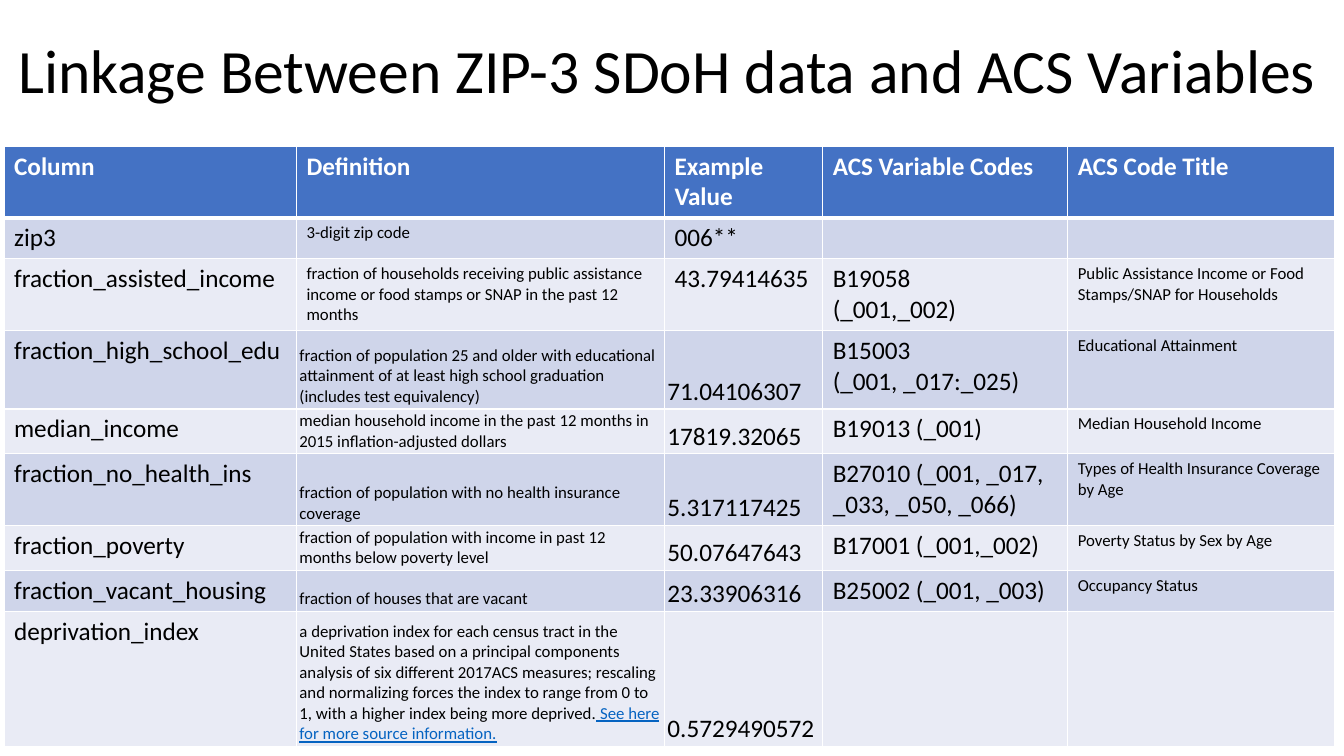
from dataclasses import dataclass

from lxml import etree
from pptx import Presentation
from pptx.dml.color import RGBColor
from pptx.enum.text import MSO_ANCHOR, PP_ALIGN
from pptx.oxml.ns import qn
from pptx.slide import Slide
from pptx.table import Table
from pptx.text.text import TextFrame
from pptx.util import Inches, Pt

TOP = MSO_ANCHOR.TOP
MIDDLE = MSO_ANCHOR.MIDDLE
BOTTOM = MSO_ANCHOR.BOTTOM
LEFT = PP_ALIGN.LEFT

BLACK = RGBColor(0x00, 0x00, 0x00)
WHITE = RGBColor(0xFF, 0xFF, 0xFF)
HEADER_BLUE = RGBColor(0x44, 0x72, 0xC4)
BAND_DARK = RGBColor(0xCF, 0xD5, 0xEA)
BAND_LIGHT = RGBColor(0xE9, 0xEB, 0xF5)
LINK_BLUE = RGBColor(0x05, 0x63, 0xC1)

FONT = "Calibri"
HEADINGS = ("Column", "Definition", "Example Value", "ACS Variable Codes", "ACS Code Title")
COLUMN_WIDTHS = (2.9, 3.65, 1.57, 2.43, 2.65)
COLUMN_SIZES = (18, 12, 18, 18, 12)
TIGHT_COLUMNS = (1, 2)
FIRST_TIGHT_ROW = 3
HEADER_HEIGHT = 0.68


@dataclass(frozen=True)
class Variable:
    height: float
    column: str
    definition: str
    example: str
    codes: str = ""
    code_title: str = ""
    link: str = ""

    def texts(self) -> tuple[str, ...]:
        return self.column, self.definition, self.example, self.codes, self.code_title


VARIABLES = (
    Variable(0.39, "zip3", "3-digit zip code", "006**"),
    Variable(
        0.68, "fraction_assisted_income",
        "fraction of households receiving public assistance income or food stamps "
        "or SNAP in the past 12 months",
        "43.79414635", "B19058\n(_001,_002)",
        "Public Assistance Income or Food Stamps/SNAP for Households",
    ),
    Variable(
        0.78, "fraction_high_school_edu",
        "fraction of population 25 and older with educational attainment of at least "
        "high school graduation (includes test equivalency)",
        "71.04106307", "B15003\n(_001, _017:_025)", "Educational Attainment",
    ),
    Variable(
        0.43, "median_income",
        "median household income in the past 12 months in 2015 inflation-adjusted dollars",
        "17819.32065", "B19013 (_001)", "Median Household Income",
    ),
    Variable(
        0.68, "fraction_no_health_ins",
        "fraction of population with no health insurance coverage",
        "5.317117425", "B27010 (_001, _017, _033, _050, _066)",
        "Types of Health Insurance Coverage by Age",
    ),
    Variable(
        0.43, "fraction_poverty",
        "fraction of population with income in past 12 months below poverty level",
        "50.07647643", "B17001 (_001,_002)", "Poverty Status by Sex by Age",
    ),
    Variable(
        0.39, "fraction_vacant_housing", "fraction of houses that are vacant",
        "23.33906316", "B25002 (_001, _003)", "Occupancy Status",
    ),
    Variable(
        1.34, "deprivation_index",
        "a deprivation index for each census tract in the United States based on a "
        "principal components analysis of six different 2017ACS measures; rescaling and "
        "normalizing forces the index to range from 0 to 1, with a higher index being "
        "more deprived.",
        "0.5729490572", link=" See here for more source information.",
    ),
)


def write_text(
    frame: TextFrame,
    text: str,
    *,
    size: float,
    color: RGBColor = BLACK,
    bold: bool = False,
    underline: bool = False,
    line_spacing: float = 1.0,
    append: bool = False,
) -> None:
    for index, line in enumerate(text.split("\n")):
        paragraph = frame.add_paragraph() if index else frame.paragraphs[-1 if append else 0]
        paragraph.alignment = LEFT
        paragraph.line_spacing = line_spacing
        run = paragraph.add_run()
        run.text = line
        run.font.name = FONT
        run.font.size = Pt(size)
        run.font.bold = bold
        run.font.underline = underline
        run.font.color.rgb = color


def style_cell(table: Table, row: int, column: int) -> None:
    cell = table.cell(row, column)
    tight = row >= FIRST_TIGHT_ROW and column in TIGHT_COLUMNS
    cell.vertical_anchor = BOTTOM if tight else TOP
    cell.margin_left = cell.margin_right = Inches(0.03 if tight else 0.1)
    cell.margin_top = cell.margin_bottom = Inches(0.02 if tight else 0.05)
    properties = cell._tc.get_or_add_tcPr()
    widths = {"lnL": 1, "lnR": 1, "lnT": 3 if row == 1 else 1, "lnB": 1 if row else 3}
    for side, width in widths.items():
        border = etree.SubElement(properties, qn(f"a:{side}"), w=str(Pt(width)))
        fill = etree.SubElement(border, qn("a:solidFill"))
        etree.SubElement(fill, qn("a:srgbClr"), val=str(WHITE))
    cell.fill.solid()
    band = BAND_DARK if row % 2 else BAND_LIGHT
    cell.fill.fore_color.rgb = band if row else HEADER_BLUE


def add_title(slide: Slide) -> None:
    title = slide.shapes.title
    title.left, title.top = Inches(0.08), Inches(0)
    title.width, title.height = Inches(13.25), Inches(1.45)
    title.text_frame.vertical_anchor = MIDDLE
    title.text_frame.word_wrap = True
    write_text(
        title.text_frame, "Linkage Between ZIP-3 SDoH data and ACS Variables",
        size=44, line_spacing=0.9,
    )


def add_variable_table(slide: Slide) -> None:
    heights = (HEADER_HEIGHT, *(variable.height for variable in VARIABLES))
    table = slide.shapes.add_table(
        len(heights), len(HEADINGS), Inches(0.04), Inches(1.45),
        Inches(sum(COLUMN_WIDTHS)), Inches(sum(heights)),
    ).table
    for column, width in zip(table.columns, COLUMN_WIDTHS):
        column.width = Inches(width)
    for row, height in zip(table.rows, heights):
        row.height = Inches(height)

    for column, heading in enumerate(HEADINGS):
        style_cell(table, 0, column)
        write_text(table.cell(0, column).text_frame, heading, size=18, color=WHITE, bold=True)

    for row, variable in enumerate(VARIABLES, start=1):
        for column, (text, size) in enumerate(zip(variable.texts(), COLUMN_SIZES)):
            style_cell(table, row, column)
            if text:
                write_text(table.cell(row, column).text_frame, text, size=size)
        if variable.link:
            write_text(
                table.cell(row, 1).text_frame, variable.link,
                size=12, color=LINK_BLUE, underline=True, append=True,
            )


def main() -> None:
    presentation = Presentation()
    presentation.slide_width = Inches(13.33)
    presentation.slide_height = Inches(7.5)
    slide = presentation.slides.add_slide(presentation.slide_layouts[5])
    slide.background.fill.solid()
    slide.background.fill.fore_color.rgb = WHITE
    add_title(slide)
    add_variable_table(slide)
    presentation.save("out.pptx")


if __name__ == "__main__":
    main()
